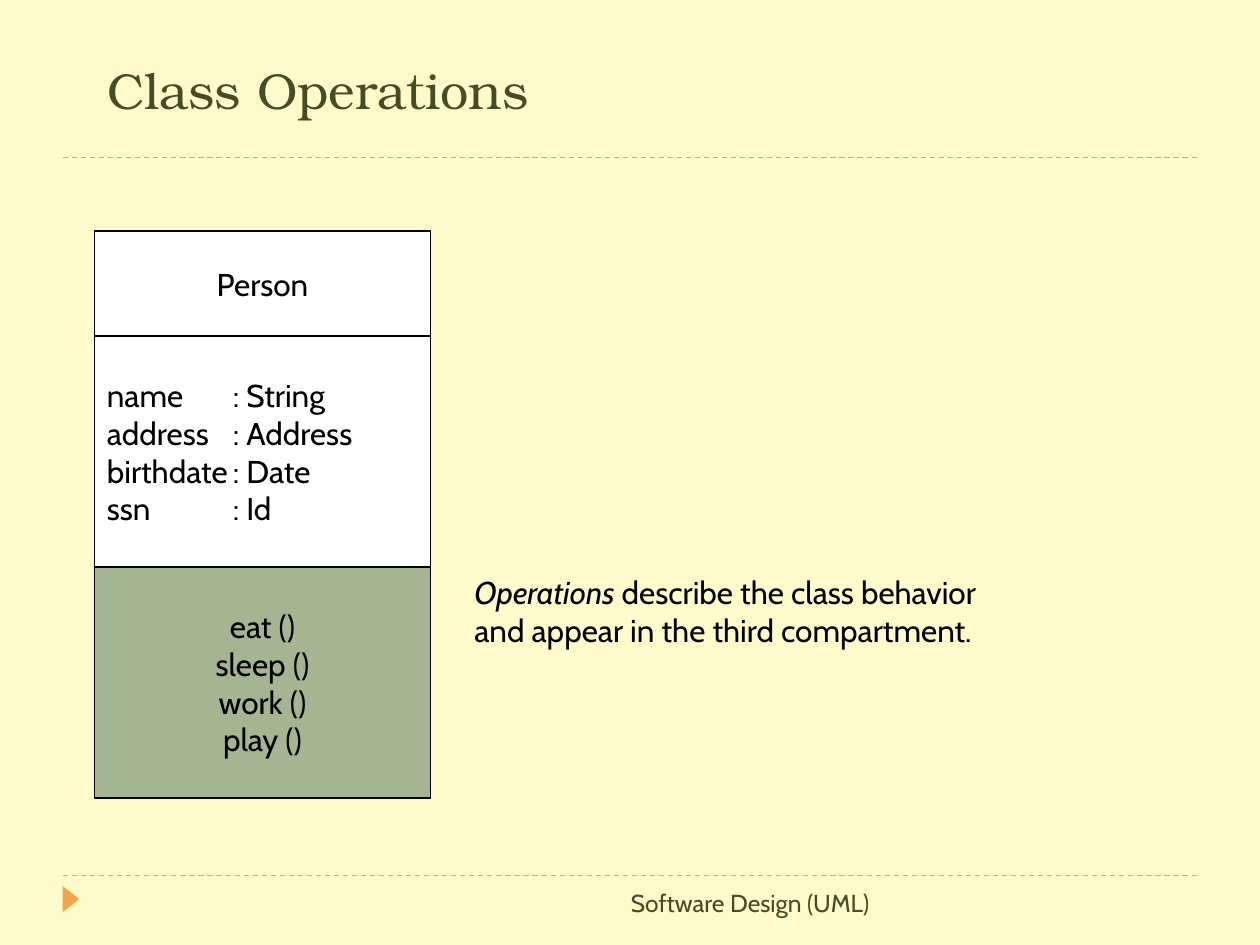
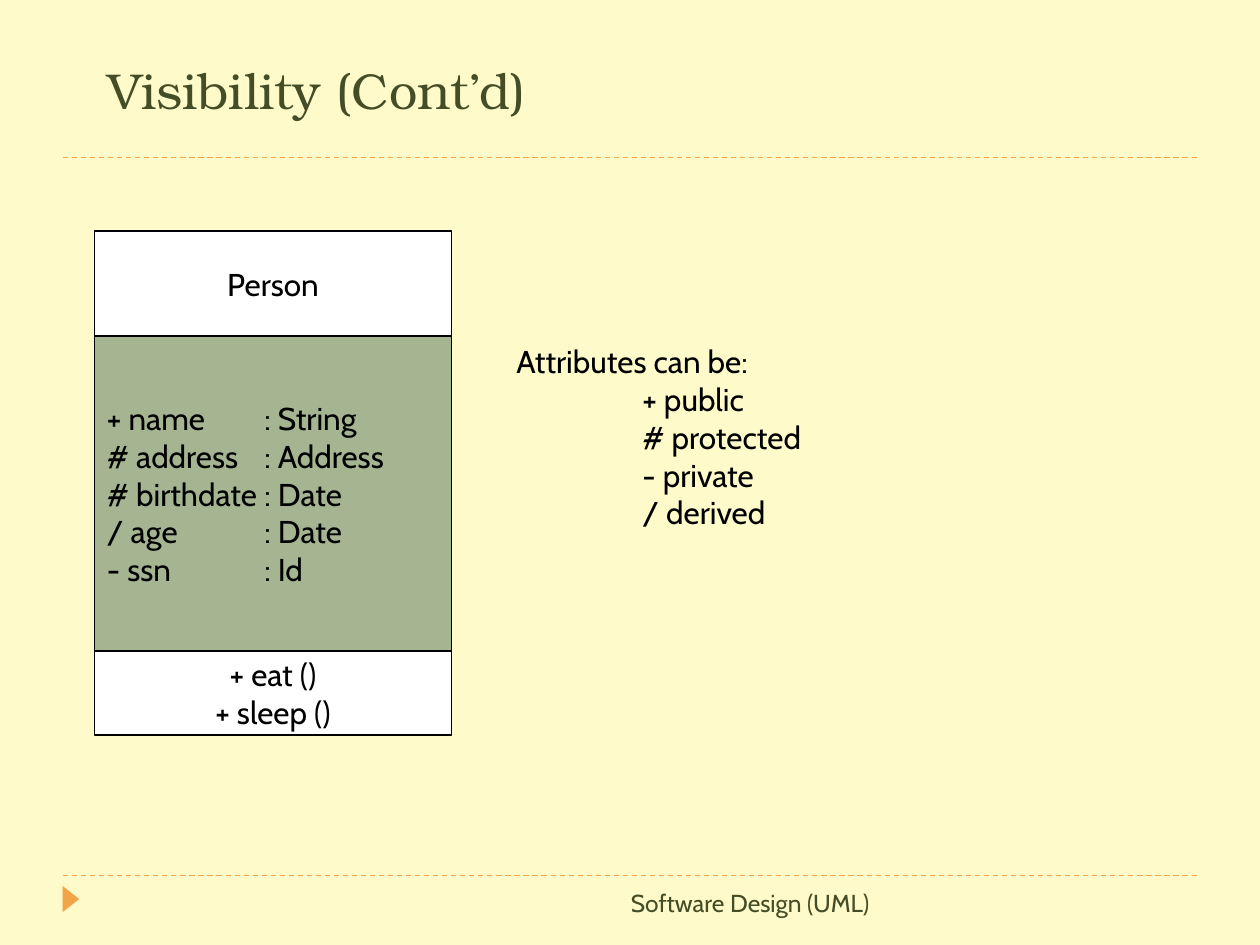
import pptx
import pptx.util
import pptx.dml.color
import pptx.enum.dml
import pptx.enum.shapes
import pptx.enum.text
import pptx.oxml.ns
from lxml import etree

Pt = pptx.util.Pt
Color = pptx.dml.color.RGBColor
Align = pptx.enum.text.PP_ALIGN
Anchor = pptx.enum.text.MSO_ANCHOR
Shape = pptx.enum.shapes.MSO_SHAPE
qn = pptx.oxml.ns.qn

CREAM = Color(0xFE, 0xFA, 0xC9)
OLIVE = Color(0x44, 0x4D, 0x26)
ORANGE = Color(0xF3, 0xA4, 0x47)
SAGE = Color(0xA5, 0xB5, 0x92)
WHITE = Color(255, 255, 255)
BLACK = Color(0, 0, 0)

HEAD = {"name": "TeX Gyre Bonum", "size": Pt(28.8), "color": OLIVE}
FOOT = {"name": "Cabin", "size": Pt(14), "color": OLIVE}
BODY = {"name": "Cabin", "size": Pt(18), "color": BLACK}

LEFT, TOP = 54, 132  # corner of the class diagram

# Each row: height, fill, alignment, tab stop, lines
# Note: left, top, width, height, tab stop, lines; *...* is italic
PAGES = [
    {
        "title": "Class Operations",
        "width": 192,
        "rows": [
            (60, WHITE, Align.CENTER, None, ["Person"]),
            (132, WHITE, Align.LEFT, 72,
             ["name\t: String", "address\t: Address",
              "birthdate\t: Date", "ssn\t: Id"]),
            (132, SAGE, Align.CENTER, None,
             ["eat ()", "sleep ()", "work ()", "play ()"]),
        ],
        "note": (264, 324, 392, 65, None,
                 ["*Operations* describe the class behavior",
                  "and appear in the third compartment."]),
    },
    {
        "title": "Visibility (Cont’d)",
        "width": 204,
        "rows": [
            (60, WHITE, Align.CENTER, None, ["Person"]),
            (180, SAGE, Align.LEFT, 90,
             ["+ name\t: String", "# address\t: Address",
              "# birthdate\t: Date", "/ age\t: Date", "- ssn\t: Id"]),
            (48, WHITE, Align.CENTER, None, ["+ eat ()", "+ sleep ()"]),
        ],
        "note": (288, 192, 194, 151, 72,
                 ["Attributes can be:", "\t+ public", "\t# protected",
                  "\t- private", "\t/ derived"]),
    },
]


def write(shape, lines, form, align=Align.LEFT, anchor=Anchor.TOP, stop=None):
    """Fill a shape with formatted paragraphs."""
    frame = shape.text_frame
    frame.word_wrap = True
    frame.auto_size = pptx.enum.text.MSO_AUTO_SIZE.NONE
    frame.vertical_anchor = anchor
    for num, line in enumerate(lines):
        para = frame.add_paragraph() if num else frame.paragraphs[0]
        para.alignment = align
        if stop and "\t" in line:
            tabs = etree.SubElement(para._p.get_or_add_pPr(), qn("a:tabLst"))
            etree.SubElement(tabs, qn("a:tab"), pos=str(Pt(stop)), algn="l")
        for part, text in enumerate(line.split("*")):
            if not text:
                continue
            run = para.add_run()
            run.text = text
            for key, value in form.items():
                if key == "color":
                    run.font.color.rgb = value
                else:
                    setattr(run.font, key, value)
            if part % 2:
                run.font.italic = True


def place(shape, *box):
    """Set left, top, width and height in points."""
    for key, value in zip(("left", "top", "width", "height"), box):
        setattr(shape, key, Pt(value))


deck = pptx.Presentation()
deck.slide_width, deck.slide_height = Pt(720), Pt(540)
back = deck.slide_master.background.fill
back.solid()
back.fore_color.rgb = CREAM

for page in PAGES:
    slide = deck.slides.add_slide(deck.slide_layouts[5])
    shapes = slide.shapes

    # Title
    place(shapes.title, 54, 30, 618, 42)
    write(shapes.title, [page["title"]], HEAD, anchor=Anchor.BOTTOM)

    # Dashed rules
    for y in (90, 500.4):
        rule = shapes.add_connector(pptx.enum.shapes.MSO_CONNECTOR.STRAIGHT,
                                    Pt(36), Pt(y), Pt(684), Pt(y))
        rule.line.color.rgb = ORANGE
        rule.line.width = Pt(0.75)
        rule.line.dash_style = pptx.enum.dml.MSO_LINE.DASH
        etree.SubElement(rule._element.spPr, qn("a:effectLst"))

    # Footer marker and text
    mark = shapes.add_shape(Shape.ISOSCELES_TRIANGLE,
                            Pt(33), Pt(509), Pt(15), Pt(9.5))
    mark.rotation = 90
    mark.shadow.inherit = False
    mark.fill.solid()
    mark.fill.fore_color.rgb = ORANGE
    mark.line.fill.background()
    foot = shapes.add_textbox(Pt(186), Pt(504), Pt(318), Pt(36))
    write(foot, ["Software Design (UML)"], FOOT, Align.RIGHT)

    # Class diagram, rows stacked downwards
    y = TOP
    for high, fill, align, stop, lines in page["rows"]:
        cell = shapes.add_shape(Shape.RECTANGLE, Pt(LEFT), Pt(y),
                                Pt(page["width"]), Pt(high))
        cell.shadow.inherit = False
        cell.fill.solid()
        cell.fill.fore_color.rgb = fill
        cell.line.color.rgb = BLACK
        cell.line.width = Pt(0.75)
        write(cell, lines, BODY, align, Anchor.MIDDLE, stop)
        y += high

    # Note beside the diagram
    *box, stop, lines = page["note"]
    note = shapes.add_textbox(*map(Pt, box))
    write(note, lines, BODY, stop=stop)

deck.save("out.pptx")
